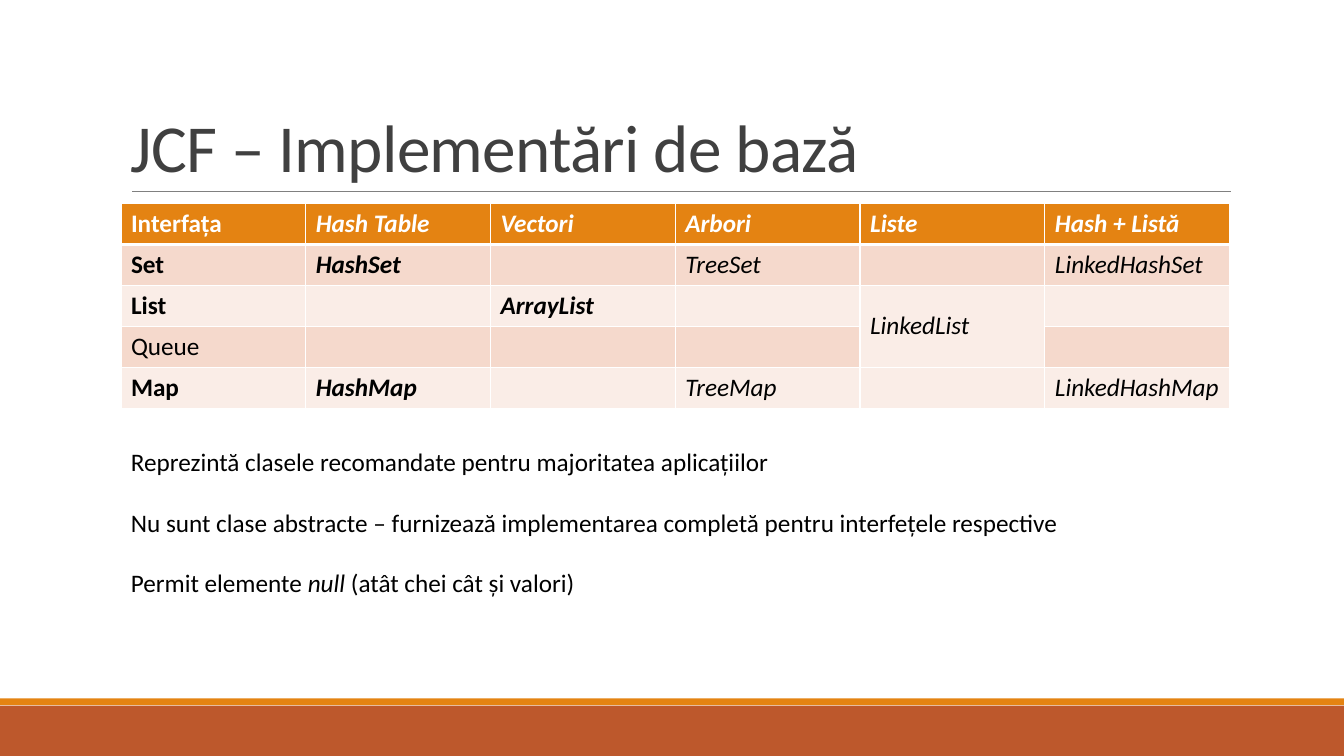
import lxml.etree
import pptx
import pptx.dml.color
import pptx.enum.shapes
import pptx.enum.text
import pptx.oxml.ns
import pptx.util

RGB = pptx.dml.color.RGBColor
WHITE = RGB(0xFF, 0xFF, 0xFF)
BLACK = RGB(0, 0, 0)
TITLE_GRAY = RGB(0x40, 0x40, 0x40)
RULE_GRAY = RGB(0x80, 0x80, 0x80)
ORANGE = RGB(0xE4, 0x83, 0x12)
RUST = RGB(0xBD, 0x58, 0x2C)
BANDS = (RGB(0xF5, 0xD9, 0xCC), RGB(0xFA, 0xED, 0xE7))

FONT = "Calibri"
WIDTH, HEIGHT = pptx.util.Inches(13.33), pptx.util.Inches(7.5)
LEFT, SPAN = 9, 82.5  # content column, in percent of the slide's width

HEADINGS = ("Interfața", "Hash Table", "Vectori", "Arbori", "Liste", "Hash + Listă")
CLASSES = (
    ("Set", "HashSet", "", "TreeSet", "", "LinkedHashSet"),
    ("List", "", "ArrayList", "", "LinkedList", ""),
    ("Queue", "", "", "", "", ""),
    ("Map", "HashMap", "", "TreeMap", "", "LinkedHashMap"),
)
BOLD_CLASSES = {"Set", "List", "Map", "HashSet", "ArrayList", "HashMap"}
REMARKS = (
    (("Reprezintă clasele recomandate pentru majoritatea aplicațiilor", False),),
    (("Nu sunt clase abstracte – furnizează implementarea completă "
      "pentru interfețele respective", False),),
    (("Permit elemente ", False), ("null", True), (" (atât chei cât și valori)", False)),
)


def share(left, top, width, height):
    """Turn percentages of the slide's size into a box in EMU."""
    return (int(WIDTH * left / 100), int(HEIGHT * top / 100),
            int(WIDTH * width / 100), int(HEIGHT * height / 100))


def add_run(paragraph, text, size, color, bold=False, italic=False):
    """Append one formatted run and return it."""
    run = paragraph.add_run()
    run.text = text
    run.font.name, run.font.size = FONT, pptx.util.Pt(size)
    run.font.bold, run.font.italic = bold, italic
    run.font.color.rgb = color
    return run


def add_text_frame(slide, box):
    """Add a wrapping text box and return its frame."""
    frame = slide.shapes.add_textbox(*box).text_frame
    frame.word_wrap = True
    return frame


def add_band(slide, box, color):
    """Fill the box with a plain coloured band."""
    band = slide.shapes.add_shape(pptx.enum.shapes.MSO_SHAPE.RECTANGLE, *box)
    band.shadow.inherit = False
    band.fill.solid()
    band.fill.fore_color.rgb = color
    band.line.fill.background()


def add_rule(slide, box):
    """Draw the thin line under the title along the top of the box."""
    left, top, width, _ = box
    rule = slide.shapes.add_connector(
        pptx.enum.shapes.MSO_CONNECTOR.STRAIGHT, left, top, left + width, top)
    rule.line.color.rgb = RULE_GRAY
    rule.line.width = pptx.util.Pt(0.5)
    lxml.etree.SubElement(rule.element.spPr, pptx.oxml.ns.qn("a:effectLst"))


def add_title(slide, box):
    """Place the title at the bottom of its box."""
    frame = add_text_frame(slide, box)
    frame.vertical_anchor = pptx.enum.text.MSO_ANCHOR.BOTTOM
    paragraph = frame.paragraphs[0]
    paragraph.line_spacing = 0.85
    run = add_run(paragraph, "JCF – Implementări de bază", 48, TITLE_GRAY)
    run.font._element.set("spc", "-50")


def set_borders(cell, top, bottom):
    """Give a cell white borders; top and bottom widths are in points."""
    properties = cell._tc.get_or_add_tcPr()
    for place, (side, points) in enumerate(
            (("L", 1), ("R", 1), ("T", top), ("B", bottom))):
        border = lxml.etree.Element(
            pptx.oxml.ns.qn(f"a:ln{side}"), w=str(pptx.util.Pt(points)))
        fill = lxml.etree.SubElement(border, pptx.oxml.ns.qn("a:solidFill"))
        lxml.etree.SubElement(fill, pptx.oxml.ns.qn("a:srgbClr"), val=str(WHITE))
        properties.insert(place, border)


def add_class_table(slide, box):
    """Lay out interfaces by data structure in an even grid."""
    rows = (HEADINGS,) + CLASSES
    table = slide.shapes.add_table(len(rows), len(HEADINGS), *box).table
    table.first_row = table.horz_banding = False
    for row, names in enumerate(rows):
        heading = row == 0
        for column, name in enumerate(names):
            cell = table.cell(row, column)
            cell.fill.solid()
            cell.fill.fore_color.rgb = ORANGE if heading else BANDS[(row - 1) % 2]
            set_borders(cell, 3 if row == 1 else 1, 3 if heading else 1)
            paragraph = cell.text_frame.paragraphs[0]
            paragraph.font.size = pptx.util.Pt(18)
            if name:
                add_run(paragraph, name, 18, WHITE if heading else BLACK,
                        heading or name in BOLD_CLASSES, column > 0)
    linked_list = table.cell(2, 4)
    linked_list.merge(table.cell(3, 4))
    linked_list.vertical_anchor = pptx.enum.text.MSO_ANCHOR.MIDDLE


def add_remarks(slide, box):
    """Write the remarks, one line apart."""
    frame = add_text_frame(slide, box)
    for number, remark in enumerate(REMARKS):
        paragraph = frame.add_paragraph() if number else frame.paragraphs[0]
        paragraph.space_before = pptx.util.Pt(21.6 if number else 0)
        for text, italic in remark:
            add_run(paragraph, text, 18, BLACK, italic=italic)


def main():
    """Build the slide and save it."""
    deck = pptx.Presentation()
    deck.slide_width, deck.slide_height = WIDTH, HEIGHT
    slide = deck.slides.add_slide(deck.slide_layouts[6])
    add_band(slide, share(0, 93.33, 100, 6.67), RUST)
    add_band(slide, share(0, 92.4, 100, 0.88), ORANGE)
    add_rule(slide, share(9.83, 25.33, 81.77, 0))
    add_title(slide, share(LEFT, 4.13, SPAN, 21.2))
    add_class_table(slide, share(LEFT, 26.93, SPAN, 27.07))
    add_remarks(slide, share(LEFT, 58.4, SPAN, 21.6))
    deck.save("out.pptx")


main()
